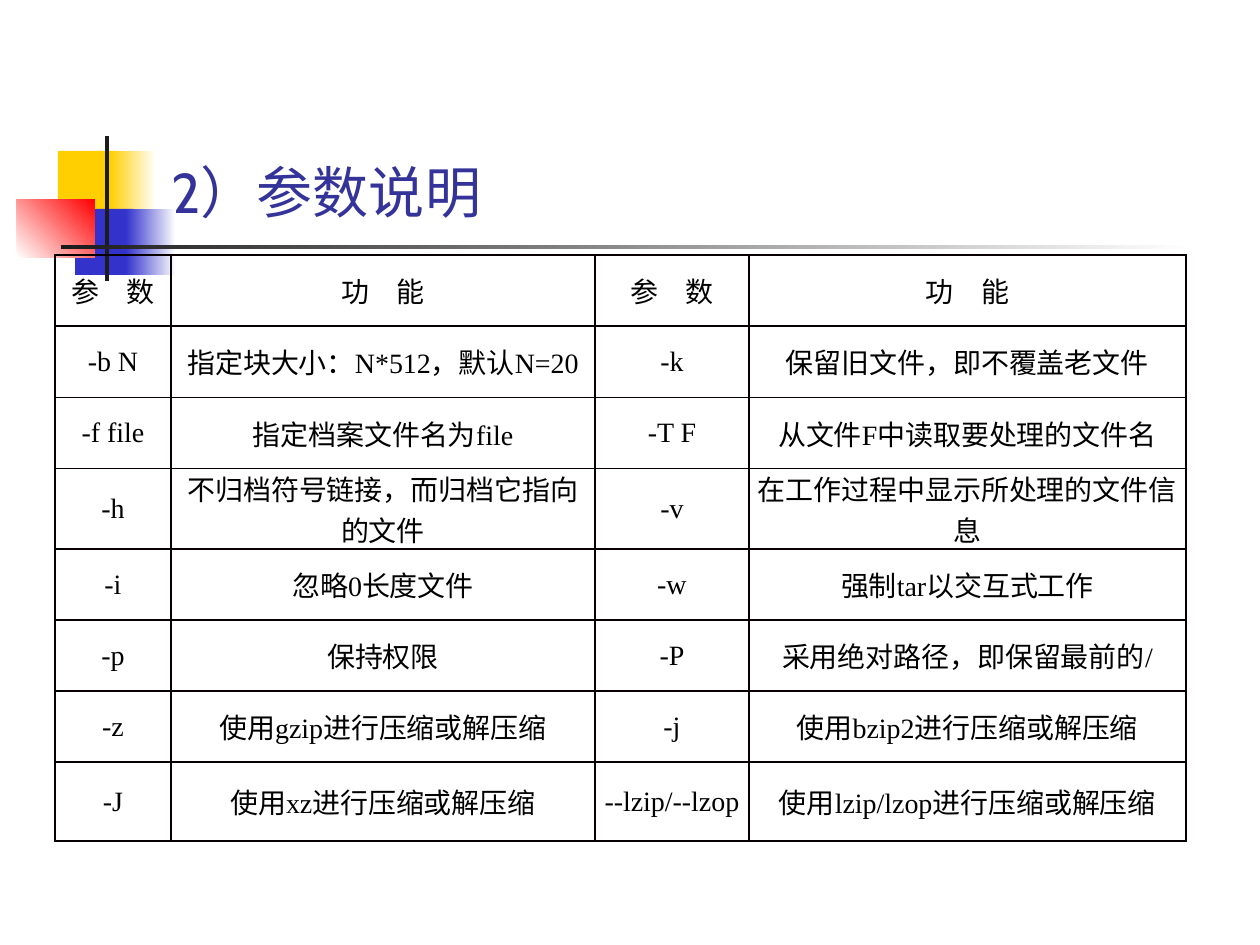
from itertools import groupby

from lxml import etree
from pptx import Presentation
from pptx import util as u
from pptx.dml.color import RGBColor
from pptx.enum import shapes, text
from pptx.oxml import ns

YELLOW = RGBColor(0xFF, 0xCF, 0x01)
BLUE = RGBColor(0x33, 0x33, 0xCC)
RED = RGBColor(0xFF, 0x00, 0x00)
WHITE = RGBColor(0xFF, 0xFF, 0xFF)
CHARCOAL = RGBColor(0x1C, 0x1C, 0x1C)
NAVY = RGBColor(0x33, 0x33, 0x99)
BLACK = RGBColor(0x00, 0x00, 0x00)
BORDER = RGBColor(0x08, 0x00, 0x00)

HAN_FONT = "Noto Sans CJK SC"
LATIN_FONT = "Times New Roman"
TITLE_FONT = "Cabin"


def px(count):
    return u.Emu(round(count * 914400 / 126))


def add_span(para, words, font, size, color):
    """Add one run, with the Han font set for its East Asian characters."""
    span = para.add_run()
    span.text = words
    span.font.name = font
    span.font.size = u.Pt(size)
    span.font.color.rgb = color
    han = etree.SubElement(span.font._element, ns.qn("a:ea"))
    han.set("typeface", HAN_FONT)


deck = Presentation()
deck.slide_width, deck.slide_height = px(1260), px(945)
page = deck.slides.add_slide(deck.slide_layouts[5])

# Decoration: left, top, width, height, colours (two make a gradient), angle
blocks = [
    (58, 151, 60, 66, [YELLOW], 0),
    (110, 151, 46, 66, [YELLOW, WHITE], 0),
    (75, 209, 58, 66, [BLUE], 0),
    (126, 209, 50, 66, [BLUE, WHITE], 0),
    (17, 199, 78, 59, [WHITE, RED], 45),
    (105, 136, 4, 145, [CHARCOAL], 0),
    (61, 245, 1134, 4, [CHARCOAL, WHITE], 0),
]
for left, top, width, height, colors, angle in blocks:
    block = page.shapes.add_shape(
        shapes.MSO_SHAPE.RECTANGLE, px(left), px(top), px(width), px(height))
    block.shadow.inherit = False
    block.line.fill.background()
    if len(colors) == 1:
        block.fill.solid()
        block.fill.fore_color.rgb = colors[0]
    else:
        block.fill.gradient()
        block.fill.gradient_angle = angle
        for stop, color in zip(block.fill.gradient_stops, colors):
            stop.color.rgb = color

# Title
title = page.shapes.title
title.left, title.top, title.width, title.height = px(159), px(29), px(1073), px(202)
frame = title.text_frame
frame.auto_size = text.MSO_AUTO_SIZE.NONE
frame.vertical_anchor = text.MSO_ANCHOR.BOTTOM
frame.paragraphs[0].alignment = text.PP_ALIGN.LEFT
add_span(frame.paragraphs[0], "2）参数说明", TITLE_FONT, 32, NAVY)

# Table of parameters
rows = [
    ("参　数", "功　能", "参　数", "功　能"),
    ("-b N", "指定块大小：N*512，默认N=20", "-k", "保留旧文件，即不覆盖老文件"),
    ("-f file", "指定档案文件名为file", "-T F", "从文件F中读取要处理的文件名"),
    ("-h", "不归档符号链接，而归档它指向的文件", "-v", "在工作过程中显示所处理的文件信息"),
    ("-i", "忽略0长度文件", "-w", "强制tar以交互式工作"),
    ("-p", "保持权限", "-P", "采用绝对路径，即保留最前的/"),
    ("-z", "使用gzip进行压缩或解压缩", "-j", "使用bzip2进行压缩或解压缩"),
    ("-J", "使用xz进行压缩或解压缩", "--lzip/--lzop", "使用lzip/lzop进行压缩或解压缩"),
]
widths = [116, 424, 154, 437]
heights = [71, 71, 71, 79, 71, 71, 71, 79]
table = page.shapes.add_table(
    len(rows), len(widths), px(55), px(255), px(sum(widths)), px(sum(heights))).table
table.first_row = table.horz_banding = False
for column, width in zip(table.columns, widths):
    column.width = px(width)

for row, height, entries in zip(table.rows, heights, rows):
    row.height = px(height)
    for cell, entry in zip(row.cells, entries):
        cell.vertical_anchor = text.MSO_ANCHOR.MIDDLE
        cell.margin_left = cell.margin_right = px(9)
        cell.margin_top = cell.margin_bottom = 0
        para = cell.text_frame.paragraphs[0]
        para.alignment = text.PP_ALIGN.CENTER
        for is_latin, letters in groupby(entry, str.isascii):
            font = LATIN_FONT if is_latin else HAN_FONT
            add_span(para, "".join(letters), font, 16, BLACK)

        properties = cell._tc.get_or_add_tcPr()
        for side in ("a:lnL", "a:lnR", "a:lnT", "a:lnB"):
            line = etree.SubElement(properties, ns.qn(side), w=str(u.Pt(1)))
            solid = etree.SubElement(line, ns.qn("a:solidFill"))
            etree.SubElement(solid, ns.qn("a:srgbClr"), val=str(BORDER))
        cell.fill.background()

deck.save("out.pptx")
